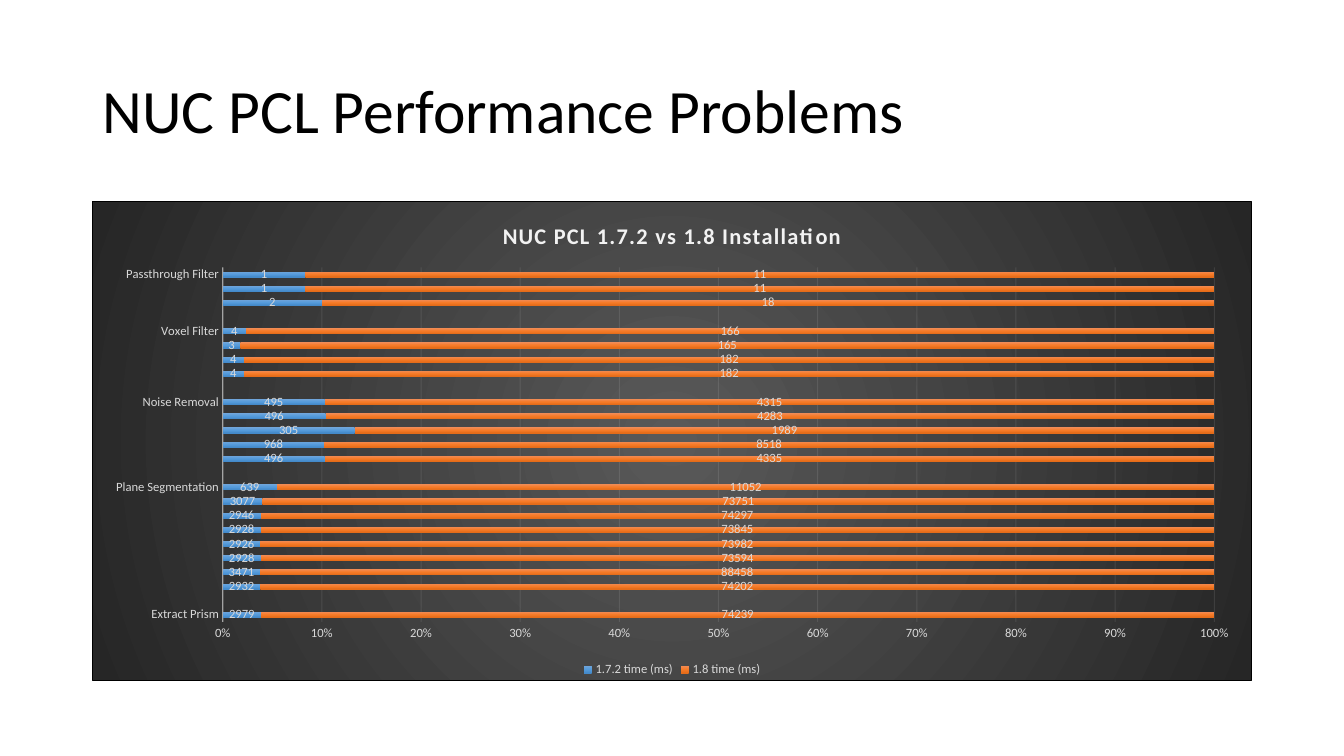
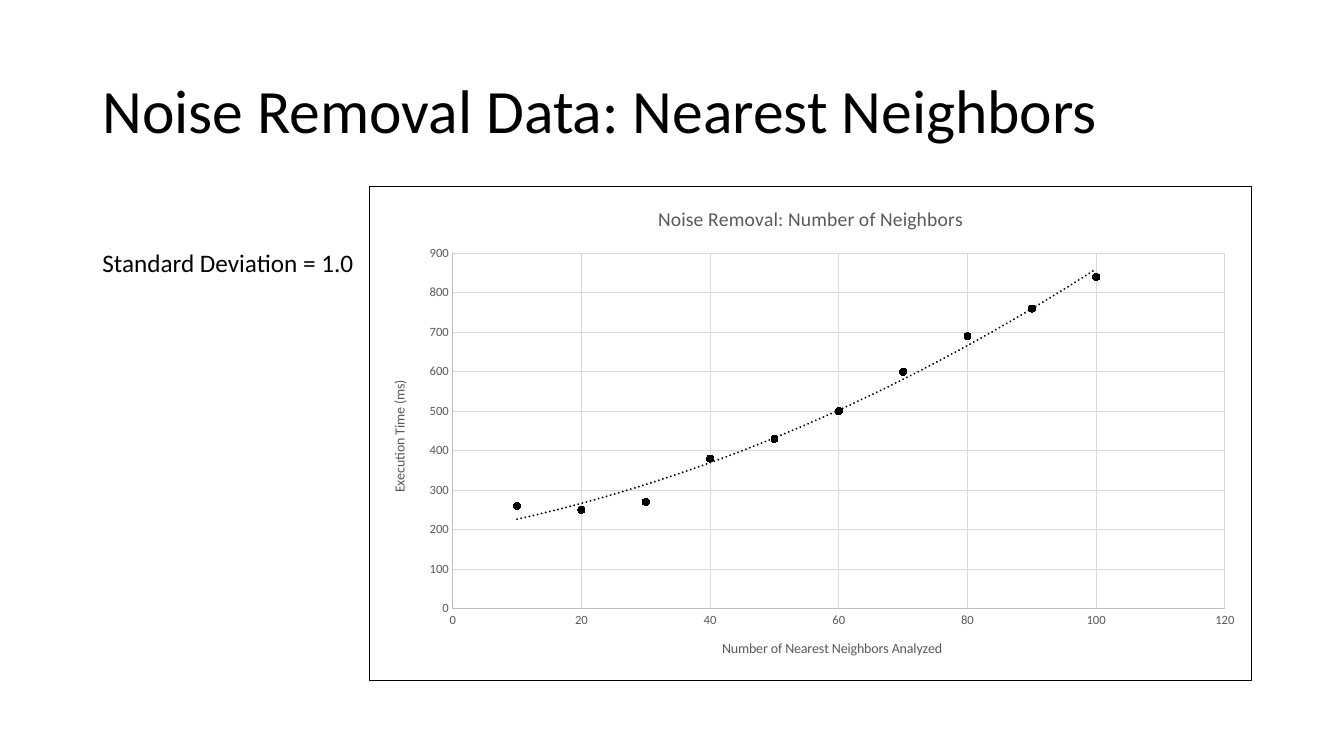
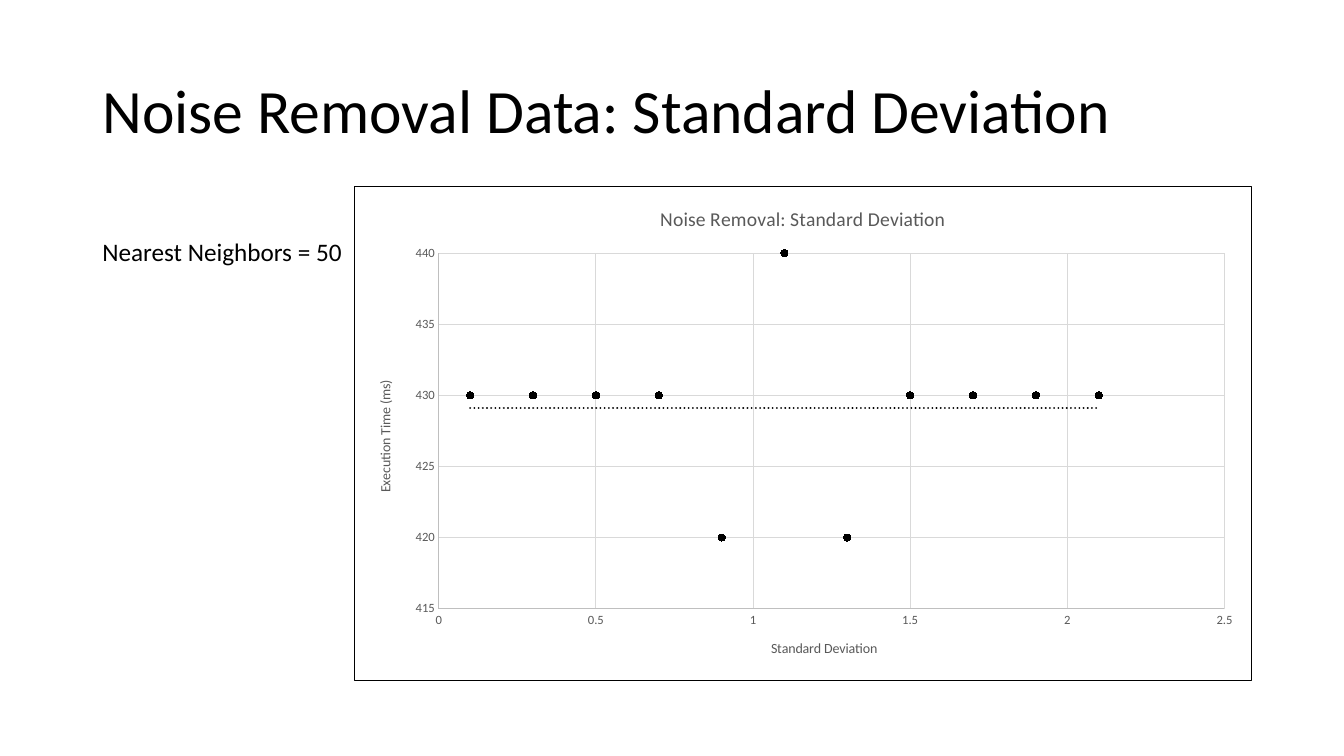
from lxml import etree
from pptx import Presentation
from pptx.chart.data import CategoryChartData, XyChartData
from pptx.dml.color import RGBColor as RGB
from pptx.enum.chart import (XL_CHART_TYPE as CT, XL_LABEL_POSITION as LP,
                             XL_LEGEND_POSITION as LEG, XL_MARKER_STYLE as MS,
                             XL_TICK_LABEL_POSITION as TLP, XL_TICK_MARK as TM)
from pptx.enum.text import MSO_ANCHOR, MSO_AUTO_SIZE, PP_ALIGN
from pptx.oxml import parse_xml
from pptx.oxml.ns import nsdecls, qn
from pptx.util import Cm, Pt

FONT = "Calibri"
C = {
    "ink": "000000", "white": "FFFFFF", "grey": "595959", "axis": "BFBFBF",
    "grid": "D9D9D9", "pale": "F2F2F2", "dark": "262626",
    "blue_top": "71A6DB", "blue": "559BDB", "blue_low": "448ACA",
    "orange_top": "F18C57", "orange": "F67B28", "orange_low": "E56C19",
}
BLUES = [(0, "blue_top"), (50, "blue"), (100, "blue_low")]
ORANGES = [(0, "orange_top"), (50, "orange"), (100, "orange_low")]
LEFT, RIGHT, BOTTOM = 2.33, 31.55, 17.17
BAR_PLOT = (11.2, 13.7, 85.6, 74)
SCATTER_PLOT = (9.4, 13.5, 87.6, 71.9)

TITLE_FONT = {"size": Pt(44), "color": "ink"}
NOTE_FONT = {"size": Pt(18), "color": "ink"}
CHART_FONT = {"size": Pt(10), "color": "ink"}
LIGHT_FONT = {"size": Pt(9), "color": "grid"}
TICK_FONT = {"size": Pt(9), "color": "grey"}
AXIS_TITLE_FONT = {"size": Pt(10), "bold": False, "color": "grey"}
PLAIN_TITLE_FONT = {"size": Pt(14), "bold": False, "color": "grey"}
BOLD_TITLE_FONT = {"size": Pt(16), "bold": True, "color": "pale"}

STEPS = [
    ("Passthrough Filter", [(1, 11), (1, 11), (2, 18)]),
    ("Voxel Filter", [(4, 166), (3, 165), (4, 182), (4, 182)]),
    ("Noise Removal", [(495, 4315), (496, 4283), (305, 1989), (968, 8518),
                       (496, 4335)]),
    ("Plane Segmentation", [(639, 11052), (3077, 73751), (2946, 74297),
                            (2928, 73845), (2926, 73982), (2928, 73594),
                            (3471, 88458), (2932, 74202)]),
    ("Extract Prism", [(2979, 74239)]),
]
SCATTERS = [
    {
        "heading": "Noise Removal Data: Nearest Neighbors",
        "note": "Standard Deviation = 1.0", "note_box": (LEFT, 6.1, 8.53, 1.02),
        "chart_left": 9.31, "title": "Noise Removal: Number of Neighbors",
        "x_title": "Number of Nearest Neighbors Analyzed",
        "x_scale": (0, 120, 20), "y_scale": (0, 900, 100), "trend": "poly",
        "points": list(zip(range(10, 101, 10),
                           [260, 250, 270, 380, 430, 500, 600, 690, 760, 840])),
    },
    {
        "heading": "Noise Removal Data: Standard Deviation",
        "note": "Nearest Neighbors = 50", "note_box": (LEFT, 5.82, 6.6, 1.02),
        "chart_left": 8.92, "title": "Noise Removal: Standard Deviation",
        "x_title": "Standard Deviation",
        "x_scale": (0, 2.5, 0.5), "y_scale": (415, 440, 5), "trend": "linear",
        "points": [(round(0.1 + 0.2 * i, 1), y) for i, y in enumerate(
            [430, 430, 430, 430, 420, 440, 420, 430, 430, 430, 430])],
    },
]


def set_all(obj, values):
    for name, value in values.items():
        setattr(obj, name, value)


def set_font(font, fmt):
    for name, value in {"name": FONT, **fmt}.items():
        if name == "color":
            font.color.rgb = RGB.from_string(C[value])
        else:
            setattr(font, name, value)


def set_line(line, color, width, alpha=None):
    line.color.rgb = RGB.from_string(C[color])
    line.width = Pt(width)
    if alpha:
        clr = next(line._ln.iter(qn("a:srgbClr")))
        etree.SubElement(clr, qn("a:alpha")).set("val", str(alpha * 1000))


def solid(color):
    return f'<a:solidFill><a:srgbClr val="{C[color]}"/></a:solidFill>'


def gradient(stops, direction):
    gs = "".join(f'<a:gs pos="{pos * 1000}"><a:srgbClr val="{C[color]}"/></a:gs>'
                 for pos, color in stops)
    return f"<a:gradFill><a:gsLst>{gs}</a:gsLst>{direction}</a:gradFill>"


def sp_pr(content):
    return parse_xml(f'<c:spPr {nsdecls("c", "a")}>{content}</c:spPr>')


def set_text(tf, text, fmt):
    p = tf.paragraphs[0]
    r = p.add_run()
    r.text = text
    set_font(r.font, fmt)
    return p, r


def add_heading(slide, text):
    sp = slide.shapes.title
    set_all(sp, {"left": Cm(LEFT), "top": Cm(1.02),
                 "width": Cm(RIGHT - LEFT), "height": Cm(3.68)})
    set_all(sp.text_frame, {"vertical_anchor": MSO_ANCHOR.MIDDLE,
                            "word_wrap": True, "auto_size": MSO_AUTO_SIZE.NONE})
    p, r = set_text(sp.text_frame, text, TITLE_FONT)
    set_all(p, {"alignment": PP_ALIGN.LEFT, "line_spacing": 0.9})


def add_note(slide, text, box):
    tf = slide.shapes.add_textbox(*map(Cm, box)).text_frame
    set_all(tf, {"word_wrap": True, "auto_size": MSO_AUTO_SIZE.SHAPE_TO_FIT_TEXT})
    set_text(tf, text, NOTE_FONT)


def add_chart(slide, kind, data, box, title, title_fmt, fill, plot):
    chart = slide.shapes.add_chart(kind, *map(Cm, box), data).chart
    set_font(chart.font, CHART_FONT)
    chart.has_title = True
    p, r = set_text(chart.chart_title.text_frame, title, title_fmt)
    space = chart._chartSpace
    body = space.find(qn("c:chart"))
    if space.find(qn("c:roundedCorners")) is None:
        body.addprevious(parse_xml(f'<c:roundedCorners {nsdecls("c")} val="0"/>'))
    body.addnext(sp_pr(f'{fill}<a:ln w="9525">{solid("ink")}</a:ln>'))
    area = body.find(qn("c:plotArea"))
    for old in area.findall(qn("c:layout")):
        area.remove(old)
    sides = "".join(f'<c:{k} val="{v / 100:.3f}"/>' for k, v in zip("xywh", plot))
    area.insert(0, parse_xml(
        f'<c:layout {nsdecls("c")}><c:manualLayout><c:layoutTarget val="inner"/>'
        f'<c:xMode val="edge"/><c:yMode val="edge"/>{sides}'
        '</c:manualLayout></c:layout>'))
    return chart, r


def format_axis(axis, fmt):
    set_all(axis, {"major_tick_mark": TM.NONE, "minor_tick_mark": TM.NONE,
                   "tick_label_position": TLP.NEXT_TO_AXIS})
    set_font(axis.tick_labels.font, fmt)


def add_timing_chart(slide, box):
    rows = []
    for name, times in STEPS:
        if rows:
            rows.append(("", None, None))
        rows += [(name if i == 0 else "", *t) for i, t in enumerate(times)]
    names, old, new = zip(*reversed(rows))
    data = CategoryChartData()
    data.categories = names
    data.add_series("1.7.2 time (ms)", old)
    data.add_series("1.8 time (ms)", new)

    circle = ('<a:path path="circle"><a:fillToRect l="50000" t="50000" '
              'r="50000" b="50000"/></a:path>')
    chart, r = add_chart(slide, CT.BAR_STACKED_100, data, box,
                         "NUC PCL 1.7.2 vs 1.8 Installation", BOLD_TITLE_FONT,
                         gradient([(0, "grey"), (100, "dark")], circle), BAR_PLOT)
    r._r.get_or_add_rPr().set("spc", "100")

    plot = chart.plots[0]
    set_all(plot, {"gap_width": 150, "overlap": 100, "vary_by_categories": False})
    for s, stops in zip(plot.series, (BLUES, ORANGES)):
        s.format.fill.background()
        pr = s._element.find(qn("c:spPr"))
        s._element.replace(pr, sp_pr(
            gradient(stops, '<a:lin ang="5400000" scaled="0"/>')))
        labels = s.data_labels
        set_all(labels, {"show_value": True, "position": LP.CENTER})
        set_font(labels.font, LIGHT_FONT)

    cat, val = chart.category_axis, chart.value_axis
    for axis in (cat, val):
        format_axis(axis, LIGHT_FONT)
    set_line(cat.format.line, "pale", 1, 54)
    cat._element.find(qn("c:noMultiLvlLbl")).addprevious(
        parse_xml(f'<c:tickLblSkip {nsdecls("c")} val="1"/>'))
    val.format.line.fill.background()
    val.has_major_gridlines = True
    set_line(val.major_gridlines.format.line, "pale", 0.75, 10)
    set_all(val.tick_labels, {"number_format": "0%",
                              "number_format_is_linked": False})

    chart.has_legend = True
    set_all(chart.legend, {"position": LEG.BOTTOM, "include_in_layout": False})
    set_font(chart.legend.font, LIGHT_FONT)


def add_trend(series, kind):
    order = '<c:order val="2"/>' if kind == "poly" else ""
    series._element.find(qn("c:xVal")).addprevious(parse_xml(
        f'<c:trendline {nsdecls("c", "a")}><c:spPr><a:ln w="19050" cap="rnd">'
        f'{solid("ink")}<a:prstDash val="sysDot"/></a:ln></c:spPr>'
        f'<c:trendlineType val="{kind}"/>{order}<c:dispRSqr val="0"/>'
        '<c:dispEq val="0"/></c:trendline>'))


def add_scatter_chart(slide, item, box):
    data = XyChartData()
    points = data.add_series("Series 1")
    for x, y in item["points"]:
        points.add_data_point(x, y)
    chart, r = add_chart(slide, CT.XY_SCATTER, data, box, item["title"],
                         PLAIN_TITLE_FONT, solid("white"), SCATTER_PLOT)
    chart.has_legend = False
    chart.plots[0].vary_by_categories = False

    s = chart.plots[0].series[0]
    s.smooth = False
    s.format.line.fill.background()
    set_all(s.marker, {"style": MS.CIRCLE, "size": 5})
    s.marker.format.fill.solid()
    s.marker.format.fill.fore_color.rgb = RGB.from_string(C["ink"])
    set_line(s.marker.format.line, "ink", 0.75)
    add_trend(s, item["trend"])

    for axis, title, scale in (
            (chart.category_axis, item["x_title"], item["x_scale"]),
            (chart.value_axis, "Execution Time (ms)", item["y_scale"])):
        format_axis(axis, TICK_FONT)
        low, high, step = scale
        set_all(axis, {"minimum_scale": low, "maximum_scale": high,
                       "major_unit": step, "has_major_gridlines": True,
                       "has_title": True})
        set_line(axis.format.line, "axis", 0.75)
        set_line(axis.major_gridlines.format.line, "grid", 0.75)
        set_all(axis.tick_labels, {"number_format": "General",
                                   "number_format_is_linked": False})
        set_text(axis.axis_title.text_frame, title, AXIS_TITLE_FONT)


def new_slide(prs, heading):
    slide = prs.slides.add_slide(prs.slide_layouts[5])
    add_heading(slide, heading)
    return slide


def box_from(left, top):
    return left, top, RIGHT - left, BOTTOM - top


def main():
    prs = Presentation()
    set_all(prs, {"slide_width": Cm(33.87), "slide_height": Cm(19.05)})
    slide = new_slide(prs, "NUC PCL Performance Problems")
    add_timing_chart(slide, box_from(LEFT, 5.07))
    for item in SCATTERS:
        slide = new_slide(prs, item["heading"])
        add_scatter_chart(slide, item, box_from(item["chart_left"], 4.69))
        add_note(slide, item["note"], item["note_box"])
    prs.save("out.pptx")


if __name__ == "__main__":
    main()
